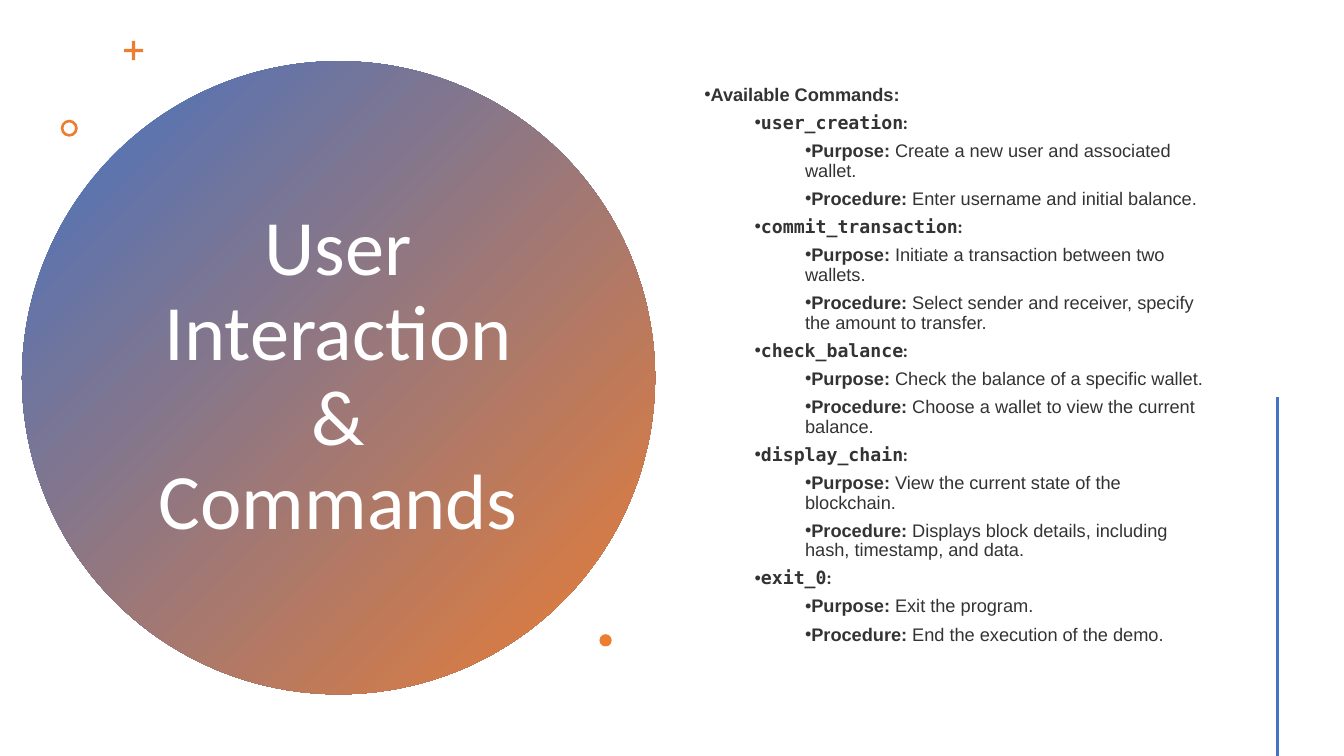
"""Builds the slide on user interaction and commands."""
from lxml import etree
from pptx import Presentation
from pptx.dml.color import RGBColor
from pptx.enum.shapes import MSO_CONNECTOR, MSO_SHAPE
from pptx.enum.text import MSO_ANCHOR, MSO_AUTO_SIZE, PP_ALIGN
from pptx.oxml.ns import qn
from pptx.util import Pt

OVAL, CROSS, DONUT = MSO_SHAPE.OVAL, MSO_SHAPE.CROSS, MSO_SHAPE.DONUT
LINE = MSO_CONNECTOR.STRAIGHT
MIDDLE, CENTER, NO_FIT = MSO_ANCHOR.MIDDLE, PP_ALIGN.CENTER, MSO_AUTO_SIZE.NONE
BLUE, ORANGE, WHITE, GRAY = "4472C4", "ED7D31", "FFFFFF", "333333"
MONO = "DejaVu Sans Mono"
STEP = 36


def color(code):
    """Return the colour of a hex string."""
    return RGBColor.from_string(code)


def add_mark(kind, left, top, size):
    """Add a plain shape with equal sides in orange."""
    mark = slide.shapes.add_shape(kind, Pt(left), Pt(top), Pt(size), Pt(size))
    mark.shadow.inherit = False
    mark.fill.solid()
    mark.fill.fore_color.rgb = color(ORANGE)
    mark.line.fill.background()
    return mark


commands = [
    ("user_creation", "Create a new user and associated wallet.",
     "Enter username and initial balance."),
    ("commit_transaction", "Initiate a transaction between two wallets.",
     "Select sender and receiver, specify the amount to transfer."),
    ("check_balance", "Check the balance of a specific wallet.",
     "Choose a wallet to view the current balance."),
    ("display_chain", "View the current state of the blockchain.",
     "Displays block details, including hash, timestamp, and data."),
    ("exit_0", "Exit the program.", "End the execution of the demo."),
]

deck = Presentation()
deck.slide_width, deck.slide_height = Pt(960), Pt(540)
slide = deck.slides.add_slide(deck.slide_layouts[5])

disc = add_mark(OVAL, 15.7, 43.7, 452.2)
disc.fill.gradient()
disc.fill.gradient_angle = 315
for stop, code in zip(disc.fill.gradient_stops, (BLUE, ORANGE)):
    stop.color.rgb = color(code)

title = slide.shapes.title
title.left, title.top, title.width, title.height = Pt(98), Pt(101.5), Pt(287.4), Pt(336)
frame = title.text_frame
frame.text = "User Interaction\v& Commands"
frame.auto_size = NO_FIT
frame.word_wrap = True
frame.vertical_anchor = MIDDLE
head = frame.paragraphs[0]
head.alignment = CENTER
head.line_spacing = 0.9
for run in head.runs:
    run.font.name, run.font.size = "Calibri", Pt(56)
    run.font.color.rgb = color(WHITE)
slide.shapes._spTree.append(title._element)

plus = add_mark(CROSS, 88.6, 29.3, 13.6)
plus.adjustments[0] = 0.42
ring = add_mark(DONUT, 43.4, 85.5, 12.2)
ring.adjustments[0] = 0.16
add_mark(OVAL, 428.2, 453, 8.8)

rows = [(0, [("Available Commands:", "Arial", True)])]
for name, purpose, procedure in commands:
    rows.append((1, [(name, MONO, True), (":", "Calibri", True)]))
    for label, words in (("Purpose:", purpose), ("Procedure:", procedure)):
        rows.append((2, [(label, "Arial", True), (" " + words, "Arial", False)]))

box = slide.shapes.add_textbox(Pt(496), Pt(41), Pt(376), Pt(459.4))
frame = box.text_frame
frame.word_wrap = True
frame.vertical_anchor = MIDDLE
frame.margin_bottom = Pt(23)
for spot, (level, parts) in enumerate(rows):
    para = frame.paragraphs[0] if spot == 0 else frame.add_paragraph()
    para.level = level
    para.line_spacing = 0.9
    para.space_after = Pt(6)
    props = para._p.get_or_add_pPr()
    props.set("marL", str(Pt(STEP * level)))
    props.set("indent", "0")
    etree.SubElement(props, qn("a:buFont")).set("typeface", "Arial")
    etree.SubElement(props, qn("a:buChar")).set("char", "•")
    for words, face, bold in parts:
        run = para.add_run()
        run.text = words
        run.font.name, run.font.size, run.font.bold = face, Pt(13), bold
        run.font.color.rgb = color(GRAY)

rule = slide.shapes.add_connector(LINE, Pt(912.4), Pt(283.6), Pt(912.4), Pt(540))
rule.line.color.rgb = color(BLUE)
rule.line.width = Pt(2)
etree.SubElement(rule._element.spPr, qn("a:effectLst"))

deck.save("out.pptx")
